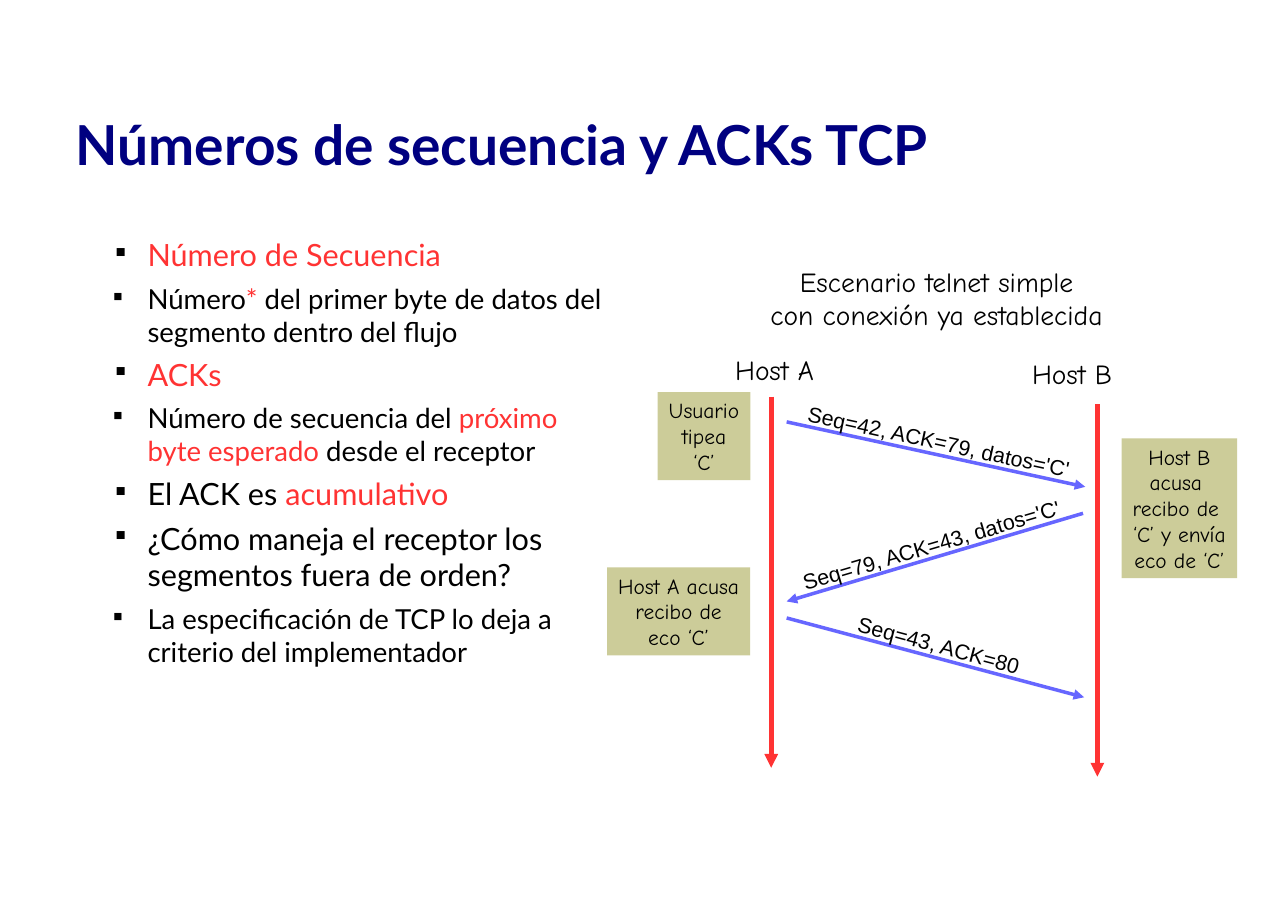
from dataclasses import dataclass
from math import atan, cos, degrees, sin

from lxml.etree import SubElement
from pptx import Presentation
from pptx.dml.color import RGBColor
from pptx.enum.shapes import MSO_CONNECTOR as Link, MSO_SHAPE as Kind
from pptx.enum.text import MSO_ANCHOR as Anchor, PP_ALIGN as Align
from pptx.oxml.ns import qn
from pptx.util import Inches, Pt


@dataclass(frozen=True)
class Theme:
    navy: str = "000080"
    black: str = "000000"
    red: str = "FF3333"
    blue: str = "6666FF"
    sand: str = "CCCC99"
    sans: str = "Lato"
    hand: str = "Comic Neue"
    plain: str = "Arial"
    title: int = 36
    head: int = 20
    body: int = 18
    small: int = 14


def paint(font, name, size, color, bold=False):
    font.name, font.size, font.bold = name, Pt(size), bold
    font.color.rgb = RGBColor.from_string(color)


class Page:
    def __init__(self, slide, theme):
        self.shapes = slide.shapes
        self.theme = theme

    def fill(self, shape, text, name, size, color=None, align=Align.CENTER,
             anchor=Anchor.TOP, bold=False, wrap=False):
        """Write text into a shape; a newline starts a paragraph, \\v breaks a line."""
        frame = shape.text_frame
        frame.word_wrap = wrap
        frame.vertical_anchor = anchor
        frame.text = text
        for par in frame.paragraphs:
            par.alignment = align
            paint(par.font, name, size, color or self.theme.black, bold)

    def text(self, area, *args, **style):
        box = self.shapes.add_textbox(*map(Inches, area))
        self.fill(box, *args, **style)
        return box

    def note(self, area, text):
        box = self.shapes.add_shape(Kind.RECTANGLE, *map(Inches, area))
        box.shadow.inherit = False
        box.fill.solid()
        box.fill.fore_color.rgb = RGBColor.from_string(self.theme.sand)
        box.line.fill.background()
        self.fill(box, text, self.theme.hand, self.theme.small)

    def arrow(self, start, end, color, width):
        line = self.shapes.add_connector(
            Link.STRAIGHT, *map(Inches, (*start, *end)))
        line.line.color.rgb = RGBColor.from_string(color)
        line.line.width = Pt(width)
        props = line._element.spPr
        SubElement(props.find(qn("a:ln")), qn("a:tailEnd"), type="triangle")
        SubElement(props, qn("a:effectLst"))

    def message(self, start, end, text):
        """Draw a segment arrow with its label tilted along it, just above."""
        self.arrow(start, end, self.theme.blue, 2.3)
        (x1, y1), (x2, y2) = start, end
        tilt = atan((y2 - y1) / (x2 - x1))
        wide, high, lift = 2.7, 0.34, 0.12
        left = (x1 + x2 - wide) / 2 + lift * sin(tilt)
        top = (y1 + y2 - high) / 2 - lift * cos(tilt)
        box = self.text((left, top, wide, high), text, self.theme.plain,
                        self.theme.small, anchor=Anchor.MIDDLE)
        box.rotation = degrees(tilt)

    def bullets(self, area, items):
        """Items are (level, parts); every second part is shown in red."""
        look = self.theme
        frame = self.shapes.add_textbox(*map(Inches, area)).text_frame
        frame.word_wrap = True
        frame.margin_left = frame.margin_right = 0
        frame.margin_top = frame.margin_bottom = 0
        for row, (level, parts) in enumerate(items):
            par = frame.add_paragraph() if row else frame.paragraphs[0]
            par.level = level
            props = par._p.get_or_add_pPr()
            props.set("marL", str(Inches(0.31)))
            props.set("indent", str(Inches(-0.31 if level else -0.29)))
            tint = SubElement(props, qn("a:buClr"))
            SubElement(tint, qn("a:srgbClr"), val=look.black)
            SubElement(props, qn("a:buSzPct"), val="45000")
            SubElement(props, qn("a:buChar"), char="■")
            par.space_before = Pt((6 if level else 5) if row else 0)
            paint(par.font, look.sans, look.body if level else look.head,
                  look.black)
            for spot, part in enumerate(parts):
                if part:
                    run = par.add_run()
                    run.text = part
                    if spot % 2:
                        run.font.color.rgb = RGBColor.from_string(look.red)


POINTS = [
    (0, ["", "Número de Secuencia"]),
    (1, ["Número", "*", " del primer byte de datos del segmento dentro del flujo"]),
    (0, ["", "ACKs"]),
    (1, ["Número de secuencia del ", "próximo byte esperado",
         " desde el receptor"]),
    (0, ["El ACK es ", "acumulativo"]),
    (0, ["¿Cómo maneja el receptor los segmentos fuera de orden?"]),
    (1, ["La especificación de TCP lo deja a criterio del implementador"]),
]
NOTES = [
    ((5.97, 3.56, 0.84, 0.8), "Usuario\ntipea\n‘C’"),
    ((5.51, 5.15, 1.3, 0.8), "Host A acusa\vrecibo de\veco ‘C’"),
    ((10.18, 3.98, 1.05, 1.27),
     "Host B\nacusa \vrecibo de \v‘C’ y envía\veco de ‘C’"),
]
HOSTS = [
    ("Host A", (6.43, 3.16, 1.2, 0.4), 7, 3.6, 6.97),
    ("Host B", (9.13, 3.19, 1.2, 0.4), 9.96, 3.67, 7.05),
]
SEGMENTS = [
    ((7.14, 3.83), (9.85, 4.42), "Seq=42, ACK=79, datos='C'"),
    ((9.83, 4.66), (7.14, 5.46), "Seq=79, ACK=43, datos='C'"),
    ((7.14, 5.61), (9.84, 6.33), "Seq=43, ACK=80"),
]


def main():
    deck = Presentation()
    deck.slide_width, deck.slide_height = Inches(11.69), Inches(8.27)
    look = Theme()
    page = Page(deck.slides.add_slide(deck.slide_layouts[6]), look)

    page.text((0.59, 0.63, 10.43, 1.35), "Números de secuencia y ACKs TCP",
              look.sans, look.title, look.navy, align=Align.LEFT,
              anchor=Anchor.MIDDLE, bold=True, wrap=True)
    page.bullets((1.03, 2.14, 4.53, 5.01), POINTS)
    for area, text in NOTES:
        page.note(area, text)
    for name, area, x, top, end in HOSTS:
        page.arrow((x, top), (x, end), look.red, 3)
        page.text(area, name, look.hand, look.body)
    for start, end, text in SEGMENTS:
        page.message(start, end, text)
    page.text((6.89, 2.36, 3.22, 0.7),
              "Escenario telnet simple\vcon conexión ya establecida",
              look.hand, look.body)
    deck.save("out.pptx")


if __name__ == "__main__":
    main()
